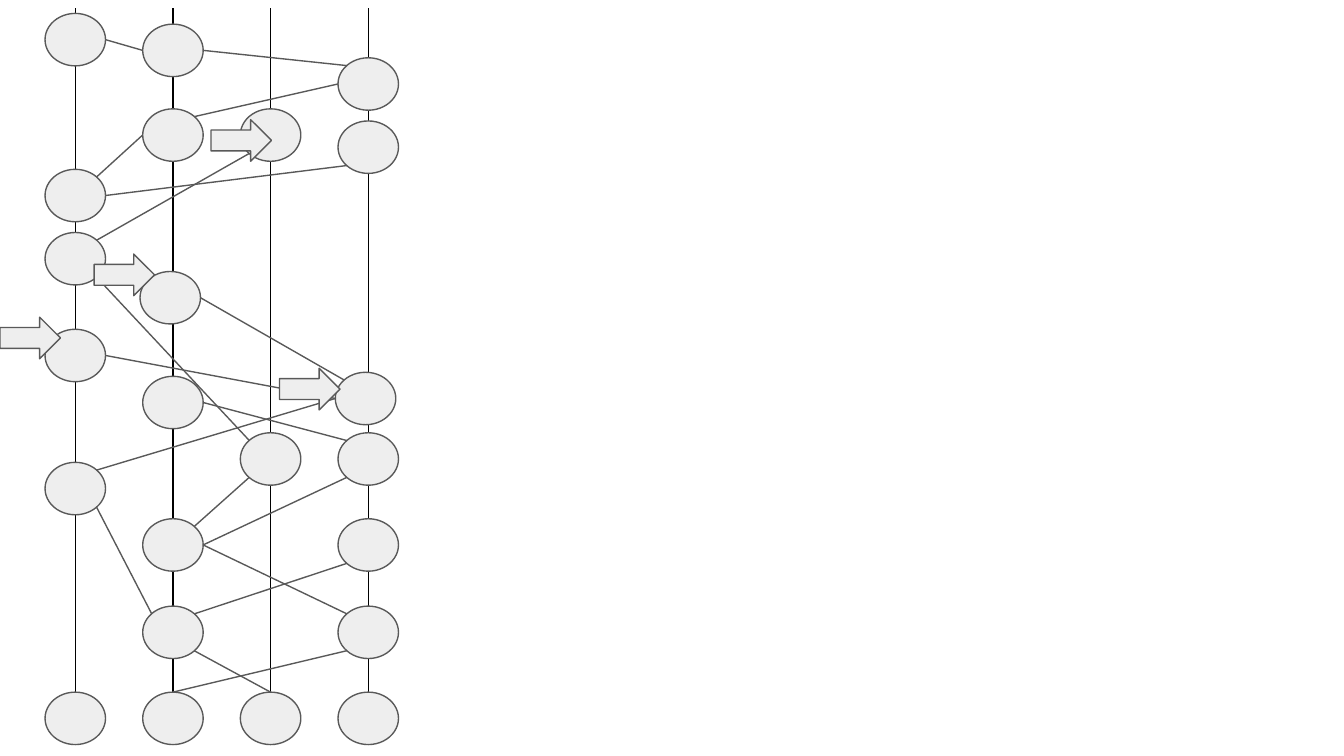
"""Build a slide of four vertical lanes whose nodes are joined by links and marked by arrows."""
from typing import NamedTuple

from lxml import etree
from pptx import Presentation
from pptx import util as u
from pptx.dml import color as dml
from pptx.enum import shapes
from pptx.oxml import ns

COLORS = {"axis": "000000", "outline": "595959", "fill": "EEEEEE"}
SLIDE_WIDTH = 10
SLIDE_HEIGHT = SLIDE_WIDTH * 9 / 16
NODE_WIDTH, NODE_HEIGHT = 0.45, 0.39
ARROW_HEIGHT = 0.31
AXIS_TOP, AXIS_BOTTOM = 0.06, 5.4
FIRST_AXIS, LAST_AXIS = 0.56, 2.74
LANE_GAP = (LAST_AXIS - FIRST_AXIS) / 3
DIAGONAL = 0.35
SITES = {
    "top": (0, -0.5), "left": (-0.5, 0), "right": (0.5, 0),
    "top left": (-DIAGONAL, -DIAGONAL), "top right": (DIAGONAL, -DIAGONAL),
    "bottom left": (-DIAGONAL, DIAGONAL), "bottom right": (DIAGONAL, DIAGONAL),
}


class Lane(NamedTuple):
    name: str
    column: int
    tops: tuple[float, ...]
    grouped: bool = True


class Link(NamedTuple):
    start: str
    start_site: str
    end: str
    end_site: str


class Marker(NamedTuple):
    left: float
    top: float


LANES = (
    Lane("c", 2, (0.81, 3.22, 5.15)),
    Lane("b", 1, (0.18, 0.81, 2.02, 2.8, 3.86, 4.51, 5.15)),
    Lane("a", 0, (0.1, 1.26, 1.73, 2.45, 3.44, 5.15)),
    Lane("d", 3, (0.43, 0.9, 2.77, 3.22, 3.86, 4.51, 5.15), grouped=False),
)
SHIFTS = {"b3": -0.02, "d3": -0.02}

LINKS = (
    Link("b7", "top", "d6", "bottom left"),
    Link("c3", "top", "b6", "bottom right"),
    Link("d6", "top left", "b5", "right"),
    Link("b6", "top left", "a5", "bottom right"),
    Link("b6", "top right", "d5", "bottom left"),
    Link("b5", "top right", "c2", "bottom left"),
    Link("b5", "right", "d4", "bottom left"),
    Link("c2", "top left", "a3", "bottom right"),
    Link("d3", "left", "a4", "right"),
    Link("d4", "top left", "b4", "right"),
    Link("d3", "top left", "b3", "right"),
    Link("a3", "top right", "c1", "bottom left"),
    Link("a2", "top right", "b2", "left"),
    Link("a2", "right", "d2", "bottom left"),
    Link("b2", "top right", "d1", "left"),
    Link("d1", "top left", "b1", "right"),
    Link("b1", "left", "a1", "right"),
    Link("a5", "top right", "d3", "left"),
)

MARKERS = (Marker(0, 2.36), Marker(0.7, 1.89), Marker(1.57, 0.89), Marker(2.08, 2.74))


def draw_line(canvas, start: tuple[float, float], end: tuple[float, float], color: str) -> None:
    """Draw a thin straight line between two points."""
    points = [u.Inches(value) for value in (*start, *end)]
    line = canvas.add_connector(shapes.MSO_CONNECTOR.STRAIGHT, *points)
    line.line.color.rgb = dml.RGBColor.from_string(COLORS[color])
    line.line.width = u.Pt(0.75)
    etree.SubElement(line._element.spPr, ns.qn("a:effectLst"))


def draw_shape(canvas, kind, left: float, top: float, width: float, height: float) -> None:
    """Draw a pale outlined shape."""
    bounds = [u.Inches(value) for value in (left, top, width, height)]
    shape = canvas.add_shape(kind, *bounds)
    shape.shadow.inherit = False
    shape.fill.solid()
    shape.fill.fore_color.rgb = dml.RGBColor.from_string(COLORS["fill"])
    shape.line.color.rgb = dml.RGBColor.from_string(COLORS["outline"])
    shape.line.width = u.Pt(0.75)


def draw_lane(page, lane: Lane) -> dict[str, tuple[float, float]]:
    """Draw an axis with its nodes and return the node centres by name."""
    canvas = page.shapes.add_group_shape().shapes if lane.grouped else page.shapes
    axis = FIRST_AXIS + lane.column * LANE_GAP
    draw_line(canvas, (axis, AXIS_BOTTOM), (axis, AXIS_TOP), "axis")
    centres = {}
    for number, top in enumerate(lane.tops, 1):
        name = f"{lane.name}{number}"
        x = axis + SHIFTS.get(name, 0)
        draw_shape(canvas, shapes.MSO_SHAPE.OVAL, x - NODE_WIDTH / 2, top, NODE_WIDTH, NODE_HEIGHT)
        centres[name] = (x, top + NODE_HEIGHT / 2)
    return centres


def site_point(centre: tuple[float, float], site: str) -> tuple[float, float]:
    """Return the point of a node's rim at the named site."""
    across, down = SITES[site]
    return centre[0] + across * NODE_WIDTH, centre[1] + down * NODE_HEIGHT


def main() -> None:
    """Build and save the slide."""
    deck = Presentation()
    deck.slide_width, deck.slide_height = u.Inches(SLIDE_WIDTH), u.Inches(SLIDE_HEIGHT)
    page = deck.slides.add_slide(deck.slide_layouts[6])
    centres = {}
    for lane in LANES:
        centres.update(draw_lane(page, lane))
    for link in LINKS:
        start = site_point(centres[link.start], link.start_site)
        end = site_point(centres[link.end], link.end_site)
        draw_line(page.shapes, start, end, "outline")
    for marker in MARKERS:
        draw_shape(page.shapes, shapes.MSO_SHAPE.RIGHT_ARROW, marker.left, marker.top, NODE_WIDTH, ARROW_HEIGHT)
    deck.save("out.pptx")


if __name__ == "__main__":
    main()
